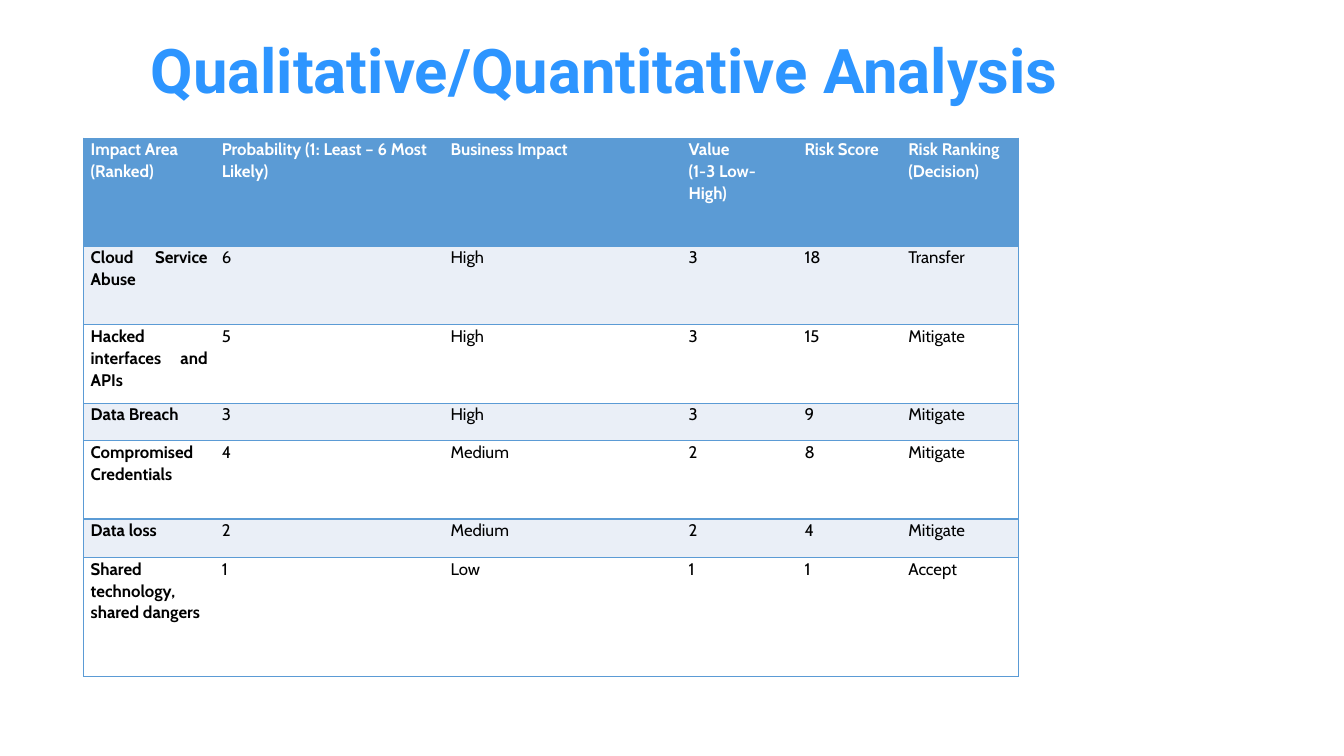
from lxml import etree
from pptx import Presentation
from pptx.dml.color import RGBColor as RGB
from pptx.enum.text import MSO_ANCHOR as Anchor, PP_ALIGN as Align
from pptx.oxml import parse_xml
from pptx.oxml.ns import nsdecls, qn
from pptx.util import Inches, Pt

THEME = {
    "title": {"name": "Roboto", "size": Pt(44), "bold": True, "color": "2D95FF"},
    "header": {"name": "Cabin", "size": Pt(12), "bold": True, "color": "FFFFFF"},
    "area": {"name": "Cabin", "size": Pt(12), "bold": True, "color": "000000"},
    "value": {"name": "Cabin", "size": Pt(12), "bold": False, "color": "000000"},
    "header_fill": "5B9BD5",
    "row_fills": ["FFFFFF", "EAEFF7"],
    "border": "5B9BD5",
}
NO_STYLE = "{2D5ABB26-0587-4C30-8999-92F81FD0307C}"
CELL_FORMAT = {
    "margin_left": Inches(0.07),
    "margin_right": Inches(0.07),
    "margin_top": 0,
    "margin_bottom": 0,
    "vertical_anchor": Anchor.TOP,
}
TITLE_FORMAT = {"word_wrap": True, "vertical_anchor": Anchor.MIDDLE}

COLUMN_WIDTHS = [1.3, 2.27, 2.36, 1.15, 1.03, 1.16]
ROW_HEIGHTS = [1.07, 0.78, 0.78, 0.37, 0.78, 0.38, 1.18]
RISKS = [
    ["Impact Area (Ranked)", "Probability (1: Least – 6 Most Likely)", "Business Impact",
     "Value\n(1-3 Low-High)", "Risk Score", "Risk Ranking (Decision)"],
    ["Cloud Service Abuse", "6", "High", "3", "18", "Transfer"],
    ["Hacked interfaces and APIs", "5", "High", "3", "15", "Mitigate"],
    ["Data Breach", "3", "High", "3", "9", "Mitigate"],
    ["Compromised Credentials", "4", "Medium", "2", "8", "Mitigate"],
    ["Data loss", "2", "Medium", "2", "4", "Mitigate"],
    ["Shared technology, shared dangers", "1", "Low", "1", "1", "Accept"],
]


def write(frame, text, role, align, spacing):
    frame.text = text
    for paragraph in frame.paragraphs:
        paragraph.alignment = align
        paragraph.line_spacing = spacing
        for run in paragraph.runs:
            for key, value in THEME[role].items():
                if key == "color":
                    run.font.color.rgb = RGB.from_string(value)
                else:
                    setattr(run.font, key, value)


def add_border(cell, side):
    line = parse_xml(f'<a:ln{side} {nsdecls("a")} w="{Pt(1)}"/>')
    fill = etree.SubElement(line, qn("a:solidFill"))
    etree.SubElement(fill, qn("a:srgbClr"), val=THEME["border"])
    cell._tc.get_or_add_tcPr().append(line)


deck = Presentation()
deck.slide_width, deck.slide_height = Inches(13.33), Inches(7.5)
slide = deck.slides.add_slide(deck.slide_layouts[6])

heading = slide.shapes.add_textbox(Inches(1.36), 0, Inches(9.43), Inches(1.45)).text_frame
for key, value in TITLE_FORMAT.items():
    setattr(heading, key, value)
write(heading, "Qualitative/Quantitative Analysis ", "title", Align.CENTER, 0.9)

risk_table = slide.shapes.add_table(
    len(RISKS), len(COLUMN_WIDTHS), Inches(0.83), Inches(1.37),
    Inches(sum(COLUMN_WIDTHS)), Inches(sum(ROW_HEIGHTS))).table
risk_table.horz_banding = False
risk_table._tbl.tblPr.find(qn("a:tableStyleId")).text = NO_STYLE
for column, width in zip(risk_table.columns, COLUMN_WIDTHS):
    column.width = Inches(width)
for row, height in zip(risk_table.rows, ROW_HEIGHTS):
    row.height = Inches(height)

last_column = len(COLUMN_WIDTHS) - 1
for r, risk in enumerate(RISKS):
    for c, text in enumerate(risk):
        cell = risk_table.cell(r, c)
        for key, value in CELL_FORMAT.items():
            setattr(cell, key, value)
        sides = ["L"] * (c == 0) + ["R"] * (c == last_column) + ["T", "B"]
        for side in sides:
            add_border(cell, side)
        cell.fill.solid()
        fill_color = THEME["row_fills"][r % 2] if r else THEME["header_fill"]
        cell.fill.fore_color.rgb = RGB.from_string(fill_color)
        role = "header" if r == 0 else "area" if c == 0 else "value"
        write(cell.text_frame, text, role, Align.JUSTIFY if r else Align.LEFT, 1.07)

deck.save("out.pptx")
